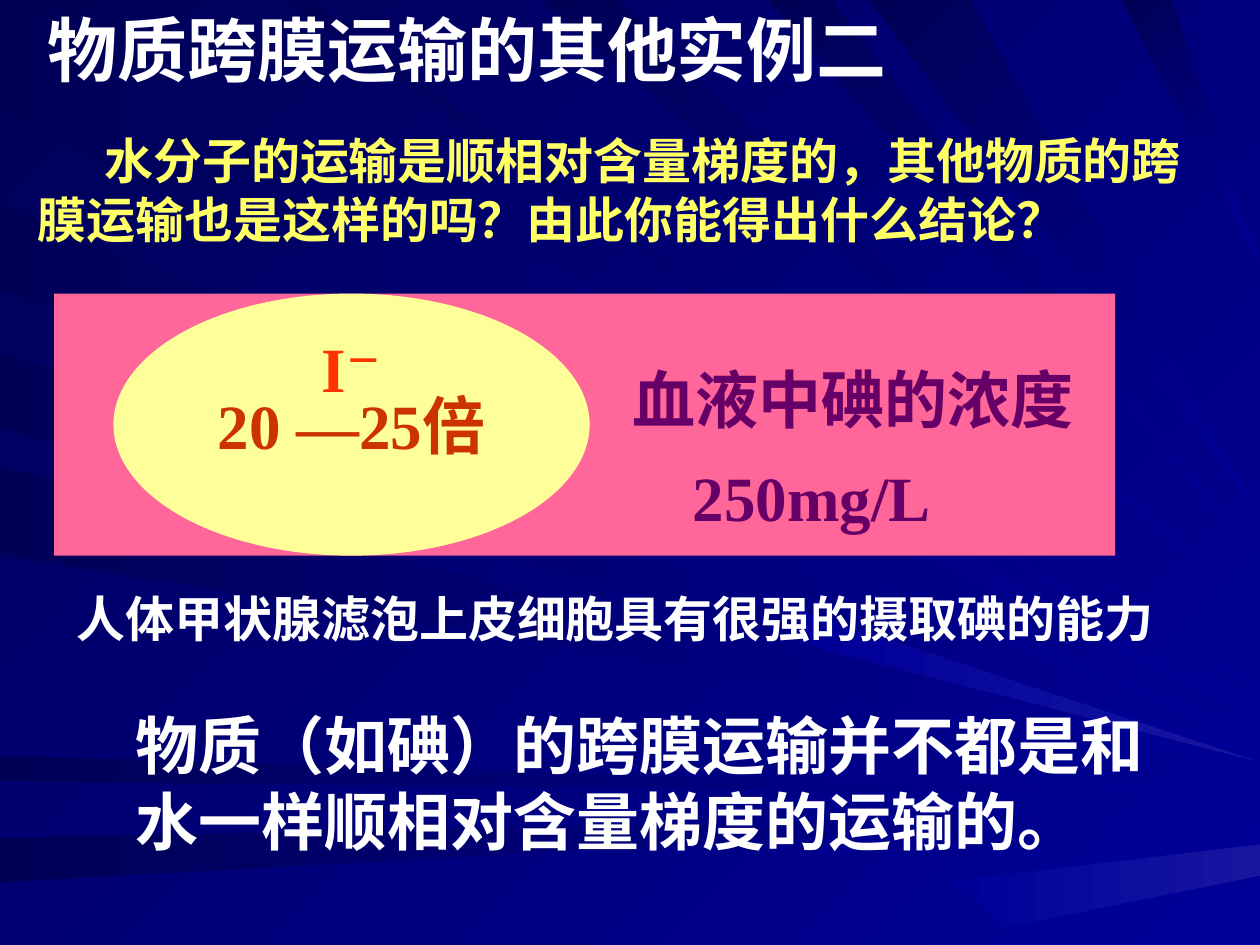
from pptx import Presentation
from pptx.dml.color import RGBColor
from pptx.enum.shapes import MSO_SHAPE
from pptx.enum.text import MSO_ANCHOR, MSO_AUTO_SIZE, PP_ALIGN
from pptx.util import Inches, Pt

COLOURS = {
    "white": "FFFFFF", "yellow": "FFFF66", "cream": "FFFF99", "pink": "FF6699",
    "rust": "CC3300", "red": "FF3300", "purple": "660066",
    "blue": "000099", "navy": "000057", "glow": "1616A1",
}
WIDTH, HEIGHT = 10, 7.5
LEFT_RAYS = [(0, 0.9, 5.7), (1.6, 2.3, 5.85), (2.8, 3.4, 6), (3.7, 4.4, 6.05), (6, 6.2, 6.3), (6.65, 7, 6.45)]
TOP_RAYS = [(0.3, 1, 5.6), (2.25, 2.45, 5.5), (4.3, 4.9, 4.9), (6.1, 6.6, 4.45), (6.9, 7.7, 4.1), (8.9, 9.3, 2.1)]


def colour(name):
    """Return the named colour as an RGBColor."""
    return RGBColor.from_string(COLOURS[name])


def paint_gradient(fill, start, end, clockwise_angle):
    """Apply a two-stop linear gradient."""
    fill.gradient()
    fill.gradient_angle = 360 - clockwise_angle
    for stop, name in zip(fill.gradient_stops, (start, end)):
        stop.color.rgb = colour(name)


def remove_effects(shape):
    """Remove the outline and shadow of a shape."""
    shape.line.fill.background()
    shape.shadow.inherit = False


def add_ray(slide, corners, start, end, angle):
    """Draw one light ray of the backdrop as a closed outline."""
    points = [(Inches(x), Inches(y)) for x, y in corners]
    builder = slide.shapes.build_freeform(*points[0])
    builder.add_line_segments(points[1:], close=True)
    ray = builder.convert_to_shape()
    paint_gradient(ray.fill, start, end, angle)
    remove_effects(ray)


def add_backdrop(slide):
    """Paint the background and the rays that meet at the right edge."""
    paint_gradient(slide.background.fill, "blue", "navy", 225)
    for upper, lower, tip in LEFT_RAYS:
        add_ray(slide, [(0, upper), (0, lower), (WIDTH, tip)], "blue", "navy", 180)
    for near, far, tip in TOP_RAYS:
        add_ray(slide, [(near, 0), (far, 0), (WIDTH, tip)], "blue", "navy", 225)
    add_ray(slide, [(6.35, 4.85), (6.35, 5.1), (WIDTH, 6.05)], "glow", "blue", 180)
    add_ray(slide, [(7.55, 7), (8, 7.35), (WIDTH, 6.95), (WIDTH, 6.7)], "glow", "blue", 180)


def add_block(slide, kind, left, top, width, height, fill):
    """Add a plain preset shape."""
    shape = slide.shapes.add_shape(kind, Inches(left), Inches(top), Inches(width), Inches(height))
    shape.fill.solid()
    shape.fill.fore_color.rgb = colour(fill)
    remove_effects(shape)
    return shape


def write(shape, text, size, text_colour, font="Times New Roman", wrap=True):
    """Put one bold paragraph into a shape and return it."""
    shape.text_frame.word_wrap = wrap
    paragraph = shape.text_frame.paragraphs[0]
    paragraph.text = text
    paragraph.font.size = Pt(size)
    paragraph.font.name = font
    paragraph.font.bold = True
    paragraph.font.color.rgb = colour(text_colour)
    return paragraph


def add_text(slide, left, top, width, height, *text_arguments, **options):
    """Add a text box with one bold paragraph and return the paragraph."""
    shape = slide.shapes.add_textbox(Inches(left), Inches(top), Inches(width), Inches(height))
    shape.text_frame.auto_size = MSO_AUTO_SIZE.SHAPE_TO_FIT_TEXT
    return write(shape, *text_arguments, **options)


def add_iodine_diagram(slide):
    """Draw the cell in blood with its iodine concentrations."""
    add_block(slide, MSO_SHAPE.RECTANGLE, 0.43, 2.33, 8.42, 2.08, "pink")
    cell = add_block(slide, MSO_SHAPE.OVAL, 0.9, 2.33, 3.78, 2.08, "cream")
    cell.text_frame.vertical_anchor = MSO_ANCHOR.MIDDLE
    write(cell, "20 —25倍", 36, "rust", wrap=False).alignment = PP_ALIGN.CENTER
    add_text(slide, 0.51, 4.62, 9.29, 0.57, "人体甲状腺滤泡上皮细胞具有很强的摄取碘的能力", 28, "white")
    add_text(slide, 5.4, 3.59, 2.09, 0.7, "250mg/L", 36, "purple", wrap=False)
    add_text(slide, 4.92, 2.81, 4.09, 0.7, "血液中碘的浓度", 36, "purple")
    ion = add_text(slide, 2.45, 2.57, 0.8, 0.7, "I", 36, "red", wrap=False)
    charge = ion.add_run()
    charge.text = "－"
    charge.font._element.set("baseline", "30000")


def add_question(slide):
    """Add the opening question with an indented first line."""
    question = add_text(
        slide, 0.2, 0.99, 9.49, 1.04,
        "水分子的运输是顺相对含量梯度的，其他物质的跨膜运输也是这样的吗？由此你能得出什么结论？",
        28, "yellow", font="Arial")
    properties = question._p.get_or_add_pPr()
    properties.set("marL", "0")
    properties.set("indent", str(Inches(0.53)))


def main():
    """Build and save the slide."""
    presentation = Presentation()
    presentation.slide_width = Inches(WIDTH)
    presentation.slide_height = Inches(HEIGHT)
    slide = presentation.slides.add_slide(presentation.slide_layouts[6])
    add_backdrop(slide)
    add_text(slide, 0.98, 5.56, 8.43, 1.3, "物质（如碘）的跨膜运输并不都是和水一样顺相对含量梯度的运输的。", 36, "white")
    add_text(slide, 0.28, 0, 6.86, 0.77, "物质跨膜运输的其他实例二", 40, "white", wrap=False)
    add_iodine_diagram(slide)
    add_question(slide)
    presentation.save("out.pptx")


if __name__ == "__main__":
    main()
